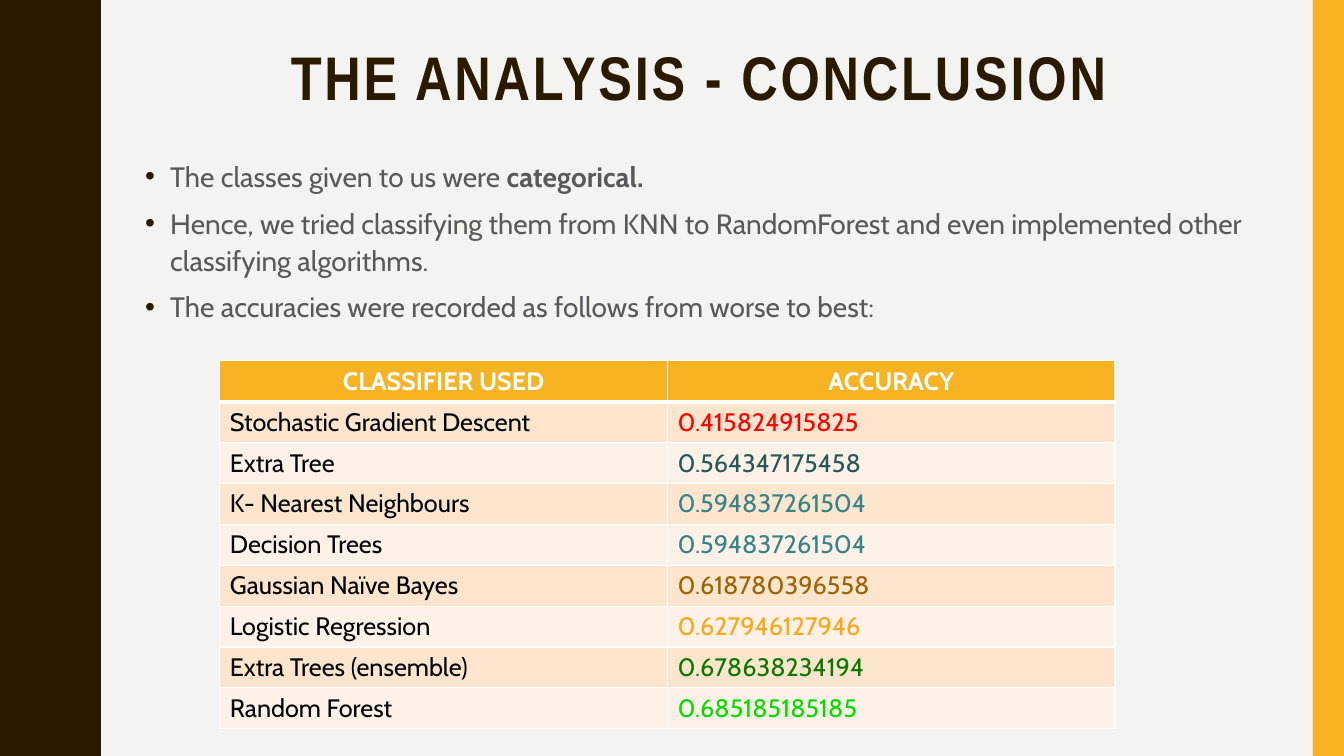
from dataclasses import dataclass

from lxml.etree import SubElement
from pptx import Presentation
from pptx.dml.color import RGBColor
from pptx.enum.shapes import MSO_SHAPE
from pptx.enum.text import MSO_ANCHOR, PP_ALIGN
from pptx.oxml.ns import qn
from pptx.util import Inches, Pt


@dataclass(frozen=True)
class Theme:
    back: str = "F3F3F2"
    dark: str = "2A1A00"
    gold: str = "F8B323"
    gray: str = "595959"
    white: str = "FFFFFF"
    black: str = "000000"
    bands: tuple = ("FCE5CD", "FEF2E8")
    head: str = "Arial Narrow"
    body: str = "Cabin"
    title: int = 44
    list: int = 20
    cell: int = 18


@dataclass(frozen=True)
class Score:
    name: str
    value: str
    color: str


THEME = Theme()
WIDE, HIGH = 13.33, 7.5

SCORES = [
    Score("Stochastic Gradient Descent", "0.415824915825", "FF0000"),
    Score("Extra Tree", "0.564347175458", "23595A"),
    Score("K- Nearest Neighbours", "0.594837261504", "358588"),
    Score("Decision Trees", "0.594837261504", "358588"),
    Score("Gaussian Naïve Bayes", "0.618780396558", "9F6200"),
    Score("Logistic Regression", "0.627946127946", "FFA615"),
    Score("Extra Trees (ensemble)", "0.678638234194", "097A00"),
    Score("Random Forest", "0.685185185185", "00DE00"),
]

# Each bullet is a plain part and a bold part
POINTS = [
    ("The classes given to us were ", "categorical."),
    ("Hence, we tried classifying them from KNN to RandomForest and even "
     "implemented other classifying algorithms.", ""),
    ("The accuracies were recorded as follows from worse to best:", ""),
]

# Outward half of one wave; the way back mirrors it
HALF = 0.75
CURVE = [
    (0.78, 0), (0.78, 0.07), (0.79, 0.14), (0.8, 0.2), (0.81, 0.25),
    (0.83, 0.29), (0.85, 0.33), (0.87, 0.38), (0.89, 0.42), (0.91, 0.46),
    (0.93, 0.5), (0.95, 0.55), (0.96, 0.61), (0.97, 0.68), (0.97, 0.75),
]


def rgb(color: str) -> RGBColor:
    return RGBColor.from_string(color)


def paint(shape, color: str) -> None:
    shape.shadow.inherit = False
    shape.fill.solid()
    shape.fill.fore_color.rgb = rgb(color)
    shape.line.fill.background()


def write(para, text: str, *, size: int, color: str, font: str = THEME.body,
          bold: bool = False, align=PP_ALIGN.LEFT, track: int = 0) -> None:
    para.alignment = align
    run = para.add_run()
    run.text = text
    run.font.name = font
    run.font.size = Pt(size)
    run.font.bold = bold
    run.font.color.rgb = rgb(color)
    if track:
        run.font._element.set("spc", str(track * 100))


def add_box(slide, left: float, top: float, width: float, height: float):
    frame = slide.shapes.add_textbox(
        Inches(left), Inches(top), Inches(width), Inches(height)).text_frame
    frame.word_wrap = True
    frame.vertical_anchor = MSO_ANCHOR.TOP
    return frame


def add_bullet(para) -> None:
    props = para._p.get_or_add_pPr()
    props.set("marL", str(Inches(0.25)))
    props.set("indent", str(-Inches(0.25)))
    tint = SubElement(props, qn("a:buClr"))
    SubElement(tint, qn("a:srgbClr"), val=THEME.dark)
    SubElement(props, qn("a:buFont"), typeface="Arial")
    SubElement(props, qn("a:buChar"), char="•")


def add_wave(slide) -> None:
    edge = []
    for half in range(round(HIGH / HALF)):
        if half % 2:
            part = [(x, HALF - y) for x, y in reversed(CURVE)]
        else:
            part = CURVE
        edge += [(x, half * HALF + y) for x, y in part]
    form = slide.shapes.build_freeform(0, 0, scale=Inches(1))
    form.add_line_segments(edge + [(0, HIGH)], close=True)
    paint(form.convert_to_shape(), THEME.dark)


def add_edge(cell, side: str, width: float) -> None:
    line = SubElement(cell._tc.get_or_add_tcPr(), qn(f"a:{side}"),
                      w=str(Pt(width)))
    fill = SubElement(line, qn("a:solidFill"))
    SubElement(fill, qn("a:srgbClr"), val=THEME.white)


def fill_cell(cell, text: str, color: str, fill: str,
              head: bool = False, under: bool = False) -> None:
    write(cell.text_frame.paragraphs[0], text, size=THEME.cell, color=color,
          bold=head, align=PP_ALIGN.CENTER if head else PP_ALIGN.LEFT)
    for side in ("lnL", "lnR", "lnT", "lnB"):
        thick = (head and side == "lnB") or (under and side == "lnT")
        add_edge(cell, side, 3 if thick else 1)
    cell.fill.solid()
    cell.fill.fore_color.rgb = rgb(fill)


def add_scores(slide) -> None:
    count = len(SCORES) + 1
    table = slide.shapes.add_table(
        count, 2, Inches(2.18), Inches(3.58), Inches(8.88), Inches(3.65)).table
    for row in table.rows:
        row.height = Inches(3.65 / count)
    for col, text in enumerate(("CLASSIFIER USED", "ACCURACY")):
        fill_cell(table.cell(0, col), text, THEME.white, THEME.gold, head=True)
    for row, score in enumerate(SCORES, 1):
        band = THEME.bands[(row - 1) % 2]
        fill_cell(table.cell(row, 0), score.name, THEME.black, band,
                  under=row == 1)
        fill_cell(table.cell(row, 1), score.value, score.color, band,
                  under=row == 1)


def main() -> None:
    deck = Presentation()
    deck.slide_width, deck.slide_height = Inches(WIDE), Inches(HIGH)
    slide = deck.slides.add_slide(deck.slide_layouts[6])
    slide.background.fill.solid()
    slide.background.fill.fore_color.rgb = rgb(THEME.back)

    # Side trim
    add_wave(slide)
    bar = slide.shapes.add_shape(MSO_SHAPE.RECTANGLE, Inches(13.02), 0,
                                 Inches(0.31), Inches(HIGH))
    paint(bar, THEME.gold)

    # Title
    para = add_box(slide, 1.37, 0.42, 11.13, 0.95).paragraphs[0]
    para.line_spacing = 0.9
    write(para, "THE ANALYSIS - CONCLUSION", size=THEME.title, bold=True,
          color=THEME.dark, font=THEME.head, align=PP_ALIGN.CENTER, track=2)

    # Bullets
    frame = add_box(slide, 1.34, 1.5, 11.13, 3.93)
    for num, (plain, strong) in enumerate(POINTS):
        para = frame.add_paragraph() if num else frame.paragraphs[0]
        para.line_spacing = 1.1
        para.space_before = Pt(7)
        add_bullet(para)
        write(para, plain, size=THEME.list, color=THEME.gray)
        if strong:
            write(para, strong, size=THEME.list, color=THEME.gray, bold=True)

    # Results table
    add_scores(slide)
    deck.save("out.pptx")


if __name__ == "__main__":
    main()
